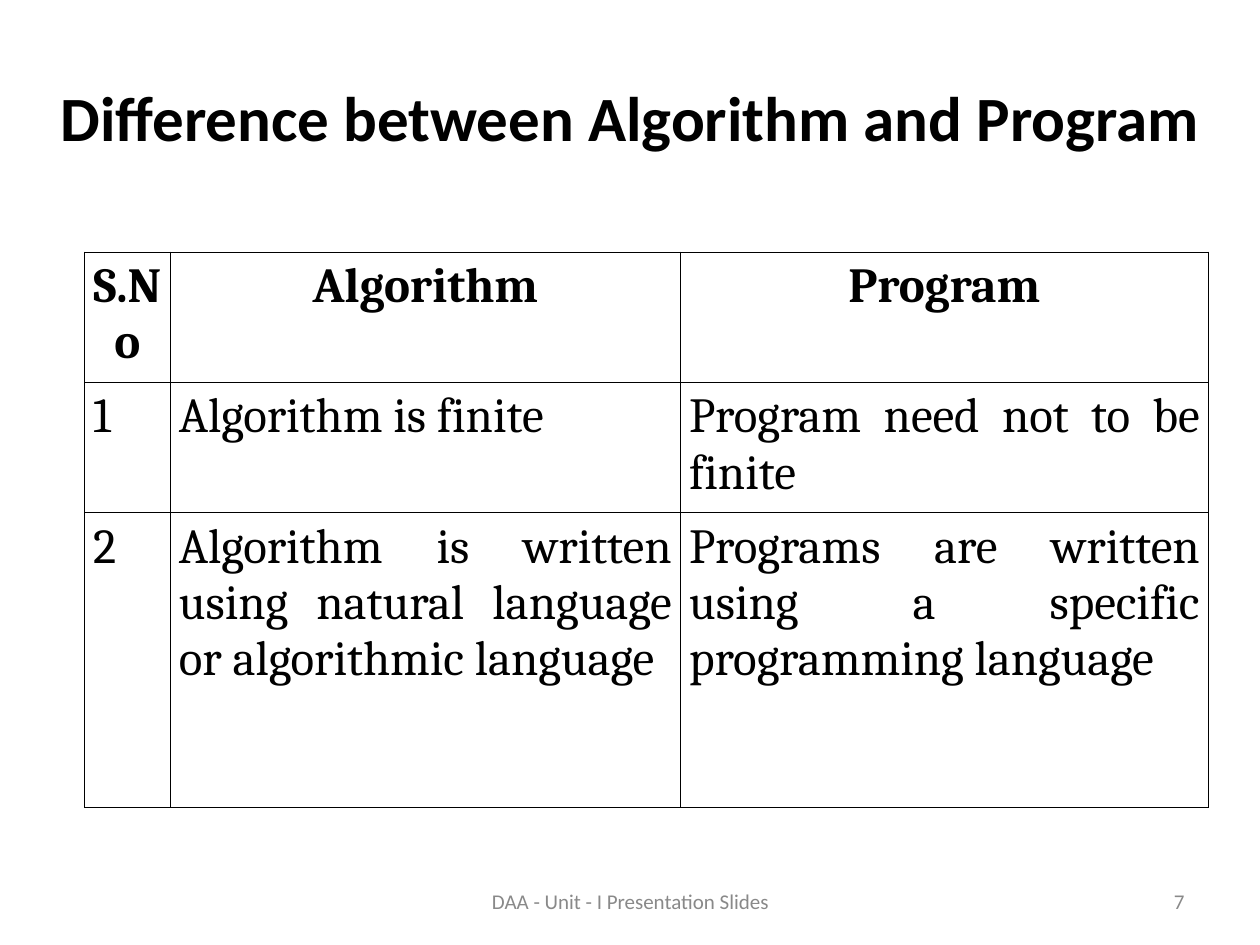
"""Build a slide that compares an algorithm with a program in a table."""
from dataclasses import dataclass

from lxml.etree import SubElement
from pptx import Presentation
from pptx.dml.color import RGBColor
from pptx.enum.text import MSO_ANCHOR, PP_ALIGN
from pptx.oxml.ns import qn
from pptx.util import Inches, Pt


@dataclass(frozen=True)
class Theme:
    ink: str = "000000"
    muted: str = "898989"
    sans: str = "Calibri"
    serif: str = "Cambria"
    title: int = 36
    body: int = 28
    small: int = 12
    rule: float = 0.45


class Deck:
    def __init__(self, theme):
        self.theme = theme
        self.prs = Presentation()
        self.prs.slide_width = Inches(10)
        self.prs.slide_height = Inches(7.5)
        self.slide = self.prs.slides.add_slide(self.prs.slide_layouts[6])

    def style(self, frame, text, face, size, color, align, bold=False):
        frame.word_wrap = True
        para = frame.paragraphs[0]
        para.text = text
        para.alignment = align
        font = para.font
        font.name, font.size, font.bold = face, Pt(size), bold
        font.color.rgb = RGBColor.from_string(color)

    def label(self, text, box, size, color, align, bold=False):
        shape = self.slide.shapes.add_textbox(*map(Inches, box))
        frame = shape.text_frame
        frame.vertical_anchor = MSO_ANCHOR.MIDDLE
        self.style(frame, text, self.theme.sans, size, color, align, bold)

    def border(self, cell):
        props = cell._tc.get_or_add_tcPr()
        for side in ("lnL", "lnR", "lnT", "lnB"):
            line = SubElement(props, qn(f"a:{side}"), w=str(Pt(self.theme.rule)))
            fill = SubElement(line, qn("a:solidFill"))
            SubElement(fill, qn("a:srgbClr"), val=self.theme.ink)

    def table(self, rows, left, top, widths, heights):
        theme = self.theme
        size = map(Inches, (left, top, sum(widths), sum(heights)))
        grid = self.slide.shapes.add_table(len(rows), len(widths), *size).table
        grid.first_row = grid.horz_banding = False
        for col, width in zip(grid.columns, widths):
            col.width = Inches(width)
        for row, height in zip(grid.rows, heights):
            row.height = Inches(height)
        for r, row in enumerate(rows):
            head = r == 0
            align = PP_ALIGN.CENTER if head else PP_ALIGN.JUSTIFY
            for c, text in enumerate(row):
                cell = grid.cell(r, c)
                cell.margin_left = cell.margin_right = Inches(0.07)
                self.border(cell)
                cell.fill.background()
                self.style(cell.text_frame, text, theme.serif, theme.body,
                           theme.ink, align, head)

    def save(self):
        self.prs.save("out.pptx")


def main():
    theme = Theme()
    deck = Deck(theme)
    deck.label("Difference between Algorithm and Program", (0, 0.3, 10, 1.25),
               theme.title, theme.ink, PP_ALIGN.CENTER, True)
    rows = [
        ("S.No", "Algorithm", "Program"),
        ("1", "Algorithm is finite", "Program need not to be finite"),
        ("2", "Algorithm is written using natural language or algorithmic language",
         "Programs are written using a specific programming language"),
    ]
    deck.table(rows, 0.67, 2, (0.68, 4.05, 4.19), (0.93, 0.93, 2.34))
    deck.label("7", (7.17, 6.95, 2.33, 0.4),
               theme.small, theme.muted, PP_ALIGN.RIGHT)
    deck.label("DAA - Unit - I Presentation Slides", (3.42, 6.95, 3.17, 0.4),
               theme.small, theme.muted, PP_ALIGN.CENTER)
    deck.save()


if __name__ == "__main__":
    main()
